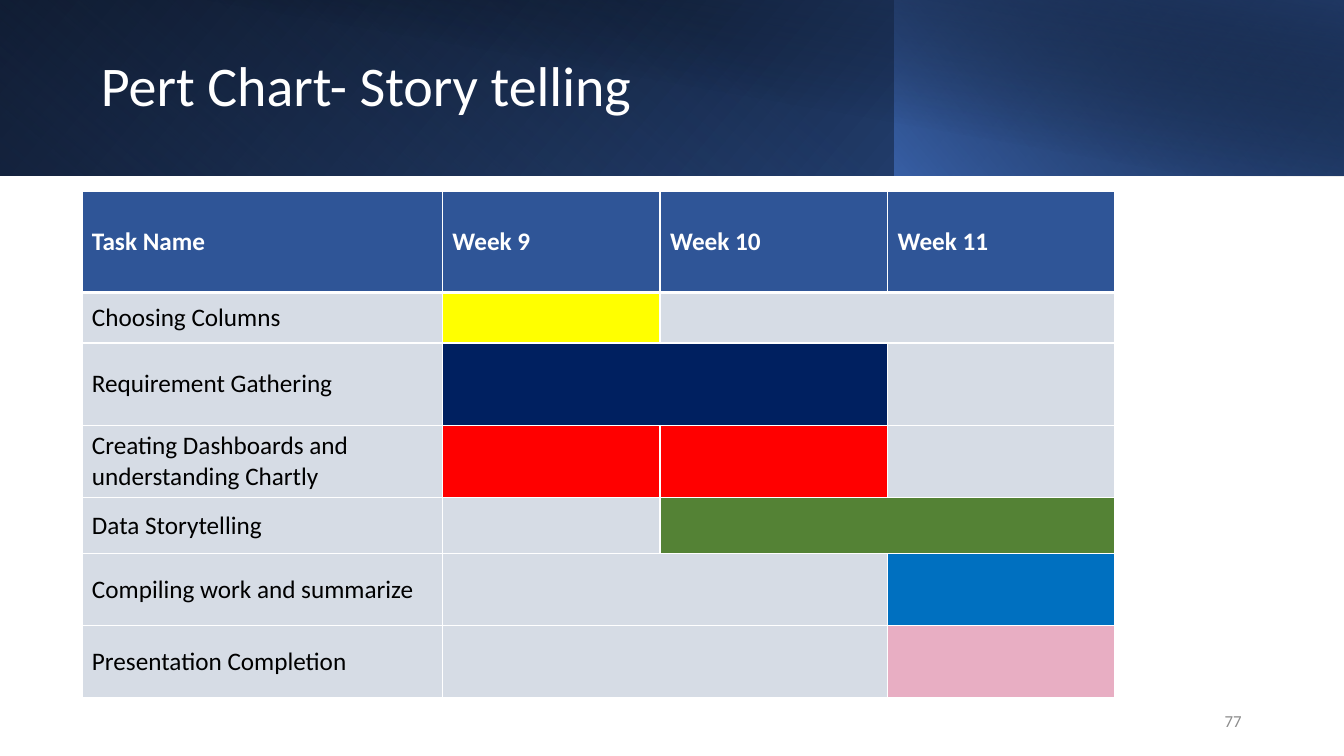
from lxml.etree import SubElement
from pptx import Presentation
from pptx.dml.color import RGBColor
from pptx.enum.shapes import MSO_SHAPE as Shape
from pptx.enum.text import MSO_ANCHOR as Anchor, PP_ALIGN as Align
from pptx.oxml import parse_xml
from pptx.oxml.ns import nsdecls, qn
from pptx.util import Pt

FONT = "Calibri"
WHITE = RGBColor(0xFF, 0xFF, 0xFF)
BLACK = RGBColor(0x00, 0x00, 0x00)
GRAY = RGBColor(0x8C, 0x8C, 0x8C)
BLUE = RGBColor(0x44, 0x72, 0xC4)
DEEP_BLUE = RGBColor(0x20, 0x38, 0x64)
HEADER_BLUE = RGBColor(0x2F, 0x55, 0x97)
IDLE = RGBColor(0xD6, 0xDC, 0xE5)
YELLOW = RGBColor(0xFF, 0xFF, 0x00)
NAVY = RGBColor(0x00, 0x20, 0x60)
RED = RGBColor(0xFF, 0x00, 0x00)
GREEN = RGBColor(0x54, 0x82, 0x35)
SKY = RGBColor(0x00, 0x70, 0xC0)
PINK = RGBColor(0xE8, 0xAE, 0xC3)

HEADINGS = ["Task Name", "Week 9", "Week 10", "Week 11"]
COLUMN_WIDTHS = [257.5, 155.5, 162.5, 162.5]
HEADER_HEIGHT = 72
# Task, row height, bars as (weeks spanned, colour)
TASKS = [
    ("Choosing Columns", 36, [(1, YELLOW), (2, IDLE)]),
    ("Requirement Gathering", 59, [(2, NAVY), (1, IDLE)]),
    ("Creating Dashboards and understanding Chartly", 51.5,
     [(1, RED), (1, RED), (1, IDLE)]),
    ("Data Storytelling", 40, [(1, IDLE), (2, GREEN)]),
    ("Compiling work and summarize", 51.5, [(2, IDLE), (1, SKY)]),
    ("Presentation Completion", 51.5, [(2, IDLE), (1, PINK)]),
]


def add_run(paragraph, text, size, color, bold=False):
    run = paragraph.add_run()
    run.text = text
    font = run.font
    font.name, font.size, font.bold = FONT, Pt(size), bold
    font.color.rgb = color


def add_text(slide, box, text, size, color, align=Align.LEFT, spacing=1.0):
    frame = slide.shapes.add_textbox(*map(Pt, box)).text_frame
    frame.word_wrap = True
    frame.vertical_anchor = Anchor.MIDDLE
    paragraph = frame.paragraphs[0]
    paragraph.alignment = align
    paragraph.line_spacing = spacing
    add_run(paragraph, text, size, color)


def add_gradient(slide, box, angle, stops, flip=True, rotation=0):
    """Stops are (position %, colour, opacity %)."""
    panel = slide.shapes.add_shape(Shape.RECTANGLE, *map(Pt, box))
    panel.shadow.inherit = False
    panel.line.fill.background()
    panel.rotation = rotation
    properties = panel._element.spPr
    if flip:
        properties.find(qn("a:xfrm")).set("flipH", "1")
    gradient = parse_xml(f'<a:gradFill {nsdecls("a")} rotWithShape="1"/>')
    stop_list = SubElement(gradient, qn("a:gsLst"))
    for position, color, opacity in stops:
        stop = SubElement(stop_list, qn("a:gs"), pos=str(position * 1000))
        shade = SubElement(stop, qn("a:srgbClr"), val=str(color))
        SubElement(shade, qn("a:alpha"), val=str(opacity * 1000))
    SubElement(gradient, qn("a:lin"), ang=str(angle * 60000), scaled="0")
    properties.find(qn("a:prstGeom")).addnext(gradient)


def add_banner(slide, left, top, width, height):
    split = width * 2 / 3
    # Base, left shade, right glow, overall tint
    add_gradient(slide, (left, top, width, height), 140,
                 [(0, BLACK, 100), (100, HEADER_BLUE, 100)])
    add_gradient(slide, (left, top, split, height), 230,
                 [(20, BLUE, 0), (100, DEEP_BLUE, 55)], rotation=180)
    add_gradient(slide, (left + split - 1, top, width - split + 1, height), 220,
                 [(0, BLUE, 66), (100, BLACK, 30)])
    add_gradient(slide, (left + 36, top, width - 36, height + 0.5), 280,
                 [(50, BLACK, 0), (99, DEEP_BLUE, 52)], flip=False)
    # Title
    add_text(slide, (left + 65, top + 22.5, 779, 81.5),
             "Pert Chart- Story telling", 40, WHITE, spacing=0.9)


def style_cell(cell, fill, top=1, bottom=1):
    cell.fill.solid()
    cell.fill.fore_color.rgb = fill
    cell.vertical_anchor = Anchor.MIDDLE
    properties = cell._tc.get_or_add_tcPr()
    borders = [("lnL", 1), ("lnR", 1), ("lnT", top), ("lnB", bottom)]
    for index, (side, width) in enumerate(borders):
        properties.insert(index, parse_xml(
            f'<a:{side} {nsdecls("a")} w="{Pt(width)}"><a:solidFill>'
            f'<a:srgbClr val="{WHITE}"/></a:solidFill></a:{side}>'))


def add_schedule(slide, left, top):
    heights = [HEADER_HEIGHT] + [height for _, height, _ in TASKS]
    schedule = slide.shapes.add_table(
        len(heights), len(HEADINGS), Pt(left), Pt(top),
        Pt(sum(COLUMN_WIDTHS)), Pt(sum(heights))).table
    for column, width in zip(schedule.columns, COLUMN_WIDTHS):
        column.width = Pt(width)
    for row, height in zip(schedule.rows, heights):
        row.height = Pt(height)

    # Header
    for column, heading in enumerate(HEADINGS):
        cell = schedule.cell(0, column)
        style_cell(cell, HEADER_BLUE, bottom=3)
        add_run(cell.text_frame.paragraphs[0], heading, 18, WHITE, True)

    # Tasks and their bars
    for row, (task, _, bars) in enumerate(TASKS, 1):
        top_border = 3 if row == 1 else 1
        name = schedule.cell(row, 0)
        style_cell(name, IDLE, top_border)
        add_run(name.text_frame.paragraphs[0], task, 18, BLACK)
        column = 1
        for weeks, color in bars:
            for week in range(column, column + weeks):
                style_cell(schedule.cell(row, week), color, top_border)
            if weeks > 1:
                schedule.cell(row, column).merge(
                    schedule.cell(row, column + weeks - 1))
            column += weeks


def main():
    deck = Presentation()
    deck.slide_width, deck.slide_height = Pt(960), Pt(540)
    slide = deck.slides.add_slide(deck.slide_layouts[6])
    add_banner(slide, 0, 0, 960, 125.5)
    add_schedule(slide, 58.5, 137)
    # Page number
    add_text(slide, (678, 500.5, 216, 28.75), "77", 12, GRAY, Align.RIGHT)
    deck.save("out.pptx")


if __name__ == "__main__":
    main()
